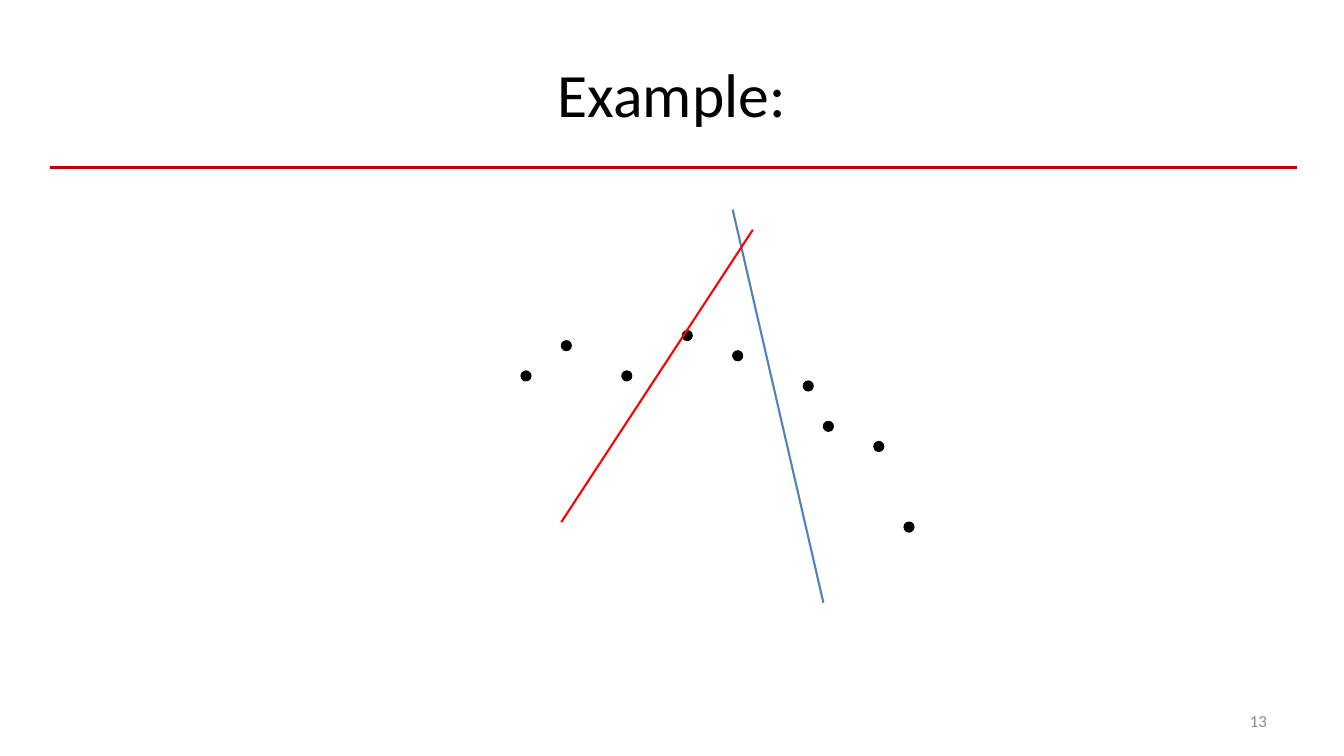
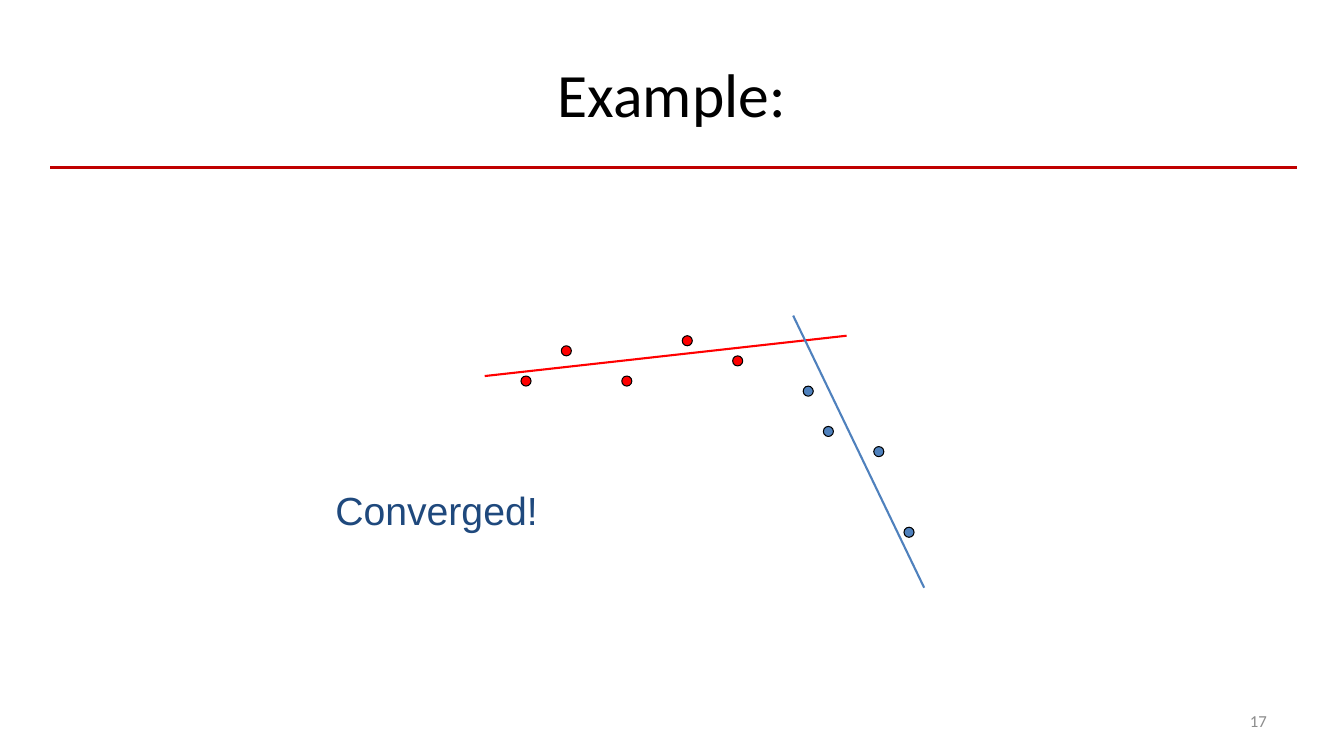
from pptx import Presentation
from pptx.dml.color import RGBColor
from pptx.enum.shapes import MSO_CONNECTOR as Connector, MSO_SHAPE as Shape
from pptx.enum.text import MSO_ANCHOR as Anchor, PP_ALIGN as Align
from pptx.oxml.ns import qn
from pptx.util import Cm, Pt
from lxml.etree import SubElement

BLACK = RGBColor(0x00, 0x00, 0x00)
RED = RGBColor(0xFF, 0x00, 0x00)
BLUE = RGBColor(0x4F, 0x81, 0xBD)
NAVY = RGBColor(0x1F, 0x49, 0x7D)
GRAY = RGBColor(0x8C, 0x8C, 0x8C)
RULE_RED = RGBColor(0xC0, 0x00, 0x00)

# Plot positions are in grid units, counted from the plot's origin.
GRID = Cm(2.54) / 10
PLOT_LEFT = Cm(13.13)
DOT_SIZE = 1
LEFT_CLUSTER = [(0, 4), (4, 1), (10, 4), (16, 0), (21, 2)]
RIGHT_CLUSTER = [(28, 5), (30, 9), (35, 11), (38, 19)]

PAGES = [
    {
        "number": "13",
        "plot_top": Cm(8.33),
        "clusters": [(LEFT_CLUSTER, BLACK), (RIGHT_CLUSTER, BLACK)],
        "fits": [((21, -12), (30, 27), BLUE), ((23, -10), (4, 19), RED)],
    },
    {
        "number": "17",
        "plot_top": Cm(8.46),
        "clusters": [(LEFT_CLUSTER, RED), (RIGHT_CLUSTER, BLUE)],
        "fits": [((-3.6, 4), (32.3, 0), RED), ((27, -2), (40, 25), BLUE)],
        "remark": "Converged!",
    },
]


def write(frame, text, size, color, font="Calibri", align=Align.LEFT,
          anchor=Anchor.TOP, wrap=True):
    frame.word_wrap = wrap
    frame.vertical_anchor = anchor
    para = frame.paragraphs[0]
    para.alignment = align
    span = para.add_run()
    span.text = text
    span.font.size = Pt(size)
    span.font.name = font
    span.font.color.rgb = color


def add_line(shapes, start, end, color, width):
    line = shapes.add_connector(Connector.STRAIGHT, *start, *end)
    line.line.color.rgb = color
    line.line.width = Pt(width)
    SubElement(line._element.spPr, qn("a:effectLst"))


def add_dot(shapes, center, color):
    size = round(DOT_SIZE * GRID)
    left, top = (round(value - size / 2) for value in center)
    dot = shapes.add_shape(Shape.OVAL, left, top, size, size)
    dot.shadow.inherit = False
    dot.fill.solid()
    dot.fill.fore_color.rgb = color
    dot.line.color.rgb = BLACK
    dot.line.width = Pt(0.75)


def add_plot(page, plot_top, clusters, fits):
    shapes = page.shapes.add_group_shape().shapes

    def place(point, shift=0):
        x, y = point
        return (round(PLOT_LEFT + (x + shift) * GRID),
                round(plot_top + (y + shift) * GRID))

    for points, color in clusters:
        for point in points:
            add_dot(shapes, place(point, shift=DOT_SIZE / 2), color)
    for start, end, color in fits:
        add_line(shapes, place(start), place(end), color, 1.5)


def add_page(deck, layout, number, plot_top, clusters, fits, remark=None):
    page = deck.slides.add_slide(layout)
    add_line(page.shapes, (Cm(1.27), Cm(4.23)), (Cm(32.68), Cm(4.23)), RULE_RED, 2)
    write(page.shapes.title.text_frame, "Example:", 44, BLACK,
          align=Align.CENTER, anchor=Anchor.MIDDLE)
    box = page.shapes.add_textbox(Cm(24.28), Cm(17.65), Cm(7.9), Cm(1.02))
    write(box.text_frame, number, 12, GRAY, align=Align.RIGHT, anchor=Anchor.MIDDLE)
    add_plot(page, plot_top, clusters, fits)
    if remark:
        box = page.shapes.add_textbox(Cm(8.2), Cm(12.14), Cm(5.64), Cm(1.45))
        write(box.text_frame, remark, 28, NAVY, font="Arial", wrap=False)


def main():
    deck = Presentation()
    deck.slide_width, deck.slide_height = Cm(33.87), Cm(19.05)
    layout = deck.slide_layouts.get_by_name("Title Only")
    title = layout.placeholders[0]
    title.left, title.top = Cm(1.69), Cm(0.76)
    title.width, title.height = Cm(30.48), Cm(3.18)
    for content in PAGES:
        add_page(deck, layout, **content)
    deck.save("out.pptx")


if __name__ == "__main__":
    main()
